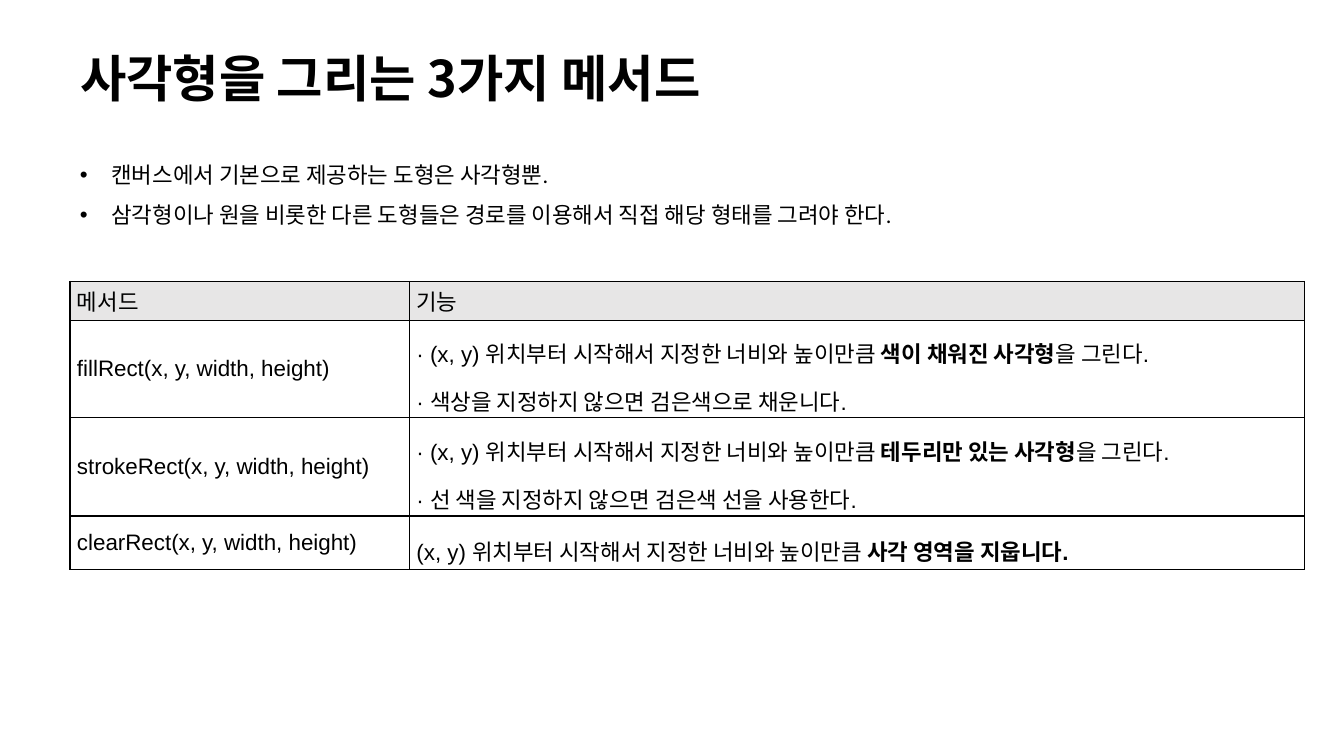
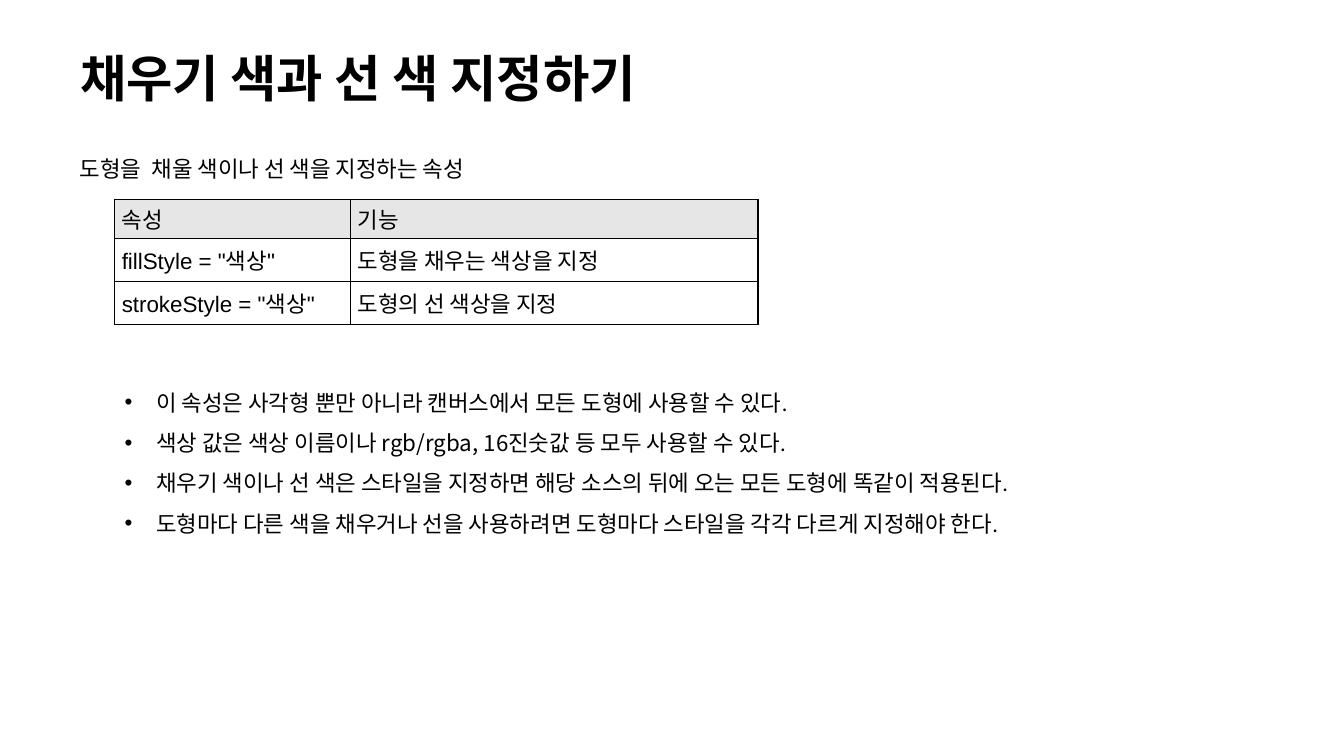
from pptx import Presentation
from pptx.dml.color import RGBColor as Rgb
from pptx.enum.text import MSO_ANCHOR as Anchor, MSO_AUTO_SIZE as Fit, PP_ALIGN as Align
from pptx.oxml import parse_xml
from pptx.oxml.ns import nsdecls
from pptx.util import Pt

HEX = {"text": "000000", "head": "E7E6E6", "line": "000000"}
KR = "Noto Sans CJK KR"
TITLE = {"name": KR, "size": Pt(36), "bold": True}
BODY = {"name": "Calibri", "size": Pt(16), "bold": False}
CELL = BODY | {"name": "Arial"}
BOLD = {"bold": True}
LEFT = 50
INDENT = 22.5


def node(tag, attrs="", inner=""):
    return parse_xml(f'<a:{tag} {nsdecls("a")} {attrs}>{inner}</a:{tag}>')


def set_all(item, values):
    for key, value in values.items():
        setattr(item, key, value)


def write(para, text, look, mark=BOLD):
    """Fill a paragraph; parts between asterisks also take the mark values."""
    for i, part in enumerate(text.split("*")):
        if not part:
            continue
        run = para.add_run()
        run.text = part
        set_all(run.font, look | (mark if i % 2 else {}))
        run.font.color.rgb = Rgb.from_string(HEX["text"])
        run._r.get_or_add_rPr().append(node("ea", f'typeface="{KR}"'))


def fill(frame, lines, look, space, mark=BOLD):
    """Write one paragraph per line and return the paragraphs."""
    for i, line in enumerate(lines):
        para = frame.add_paragraph() if i else frame.paragraphs[0]
        set_all(para, {"alignment": Align.LEFT, "line_spacing": space})
        write(para, line, look, mark)
    return frame.paragraphs


def add_page(deck, title):
    page = deck.slides.add_slide(deck.slide_layouts[5])
    head = page.shapes.title
    set_all(head, {"left": Pt(LEFT), "top": Pt(25), "width": Pt(701), "height": Pt(66)})
    set_all(head.text_frame, {"auto_size": Fit.NONE, "word_wrap": True,
                              "vertical_anchor": Anchor.MIDDLE})
    fill(head.text_frame, [title], TITLE, 0.9)
    return page


def add_text(page, box, lines, bullet=True, mark=BOLD):
    frame = page.shapes.add_textbox(*map(Pt, box)).text_frame
    frame.word_wrap = True
    for para in fill(frame, lines, BODY, Pt(28.8), mark):
        if bullet:
            props = para._p.get_or_add_pPr()
            props.set("marL", str(Pt(INDENT)))
            props.set("indent", str(-Pt(INDENT)))
            props.append(node("buFont", 'typeface="Arial"'))
            props.append(node("buChar", 'char="•"'))


def edge(cell):
    """Draw a thin line on all four sides of a cell."""
    ink = f'<a:solidFill><a:srgbClr val="{HEX["line"]}"/></a:solidFill>'
    props = cell._tc.get_or_add_tcPr()
    for i, side in enumerate("LRTB"):
        props.insert(i, node(f"ln{side}", f'w="{Pt(1)}"', ink))


def add_grid(page, spot, wides, highs, rows):
    """Build a table; a cell given as a list has widely spaced lines."""
    size = (sum(wides), sum(highs))
    grid = page.shapes.add_table(len(rows), len(wides), *map(Pt, spot + size)).table
    set_all(grid, {"first_row": False, "horz_banding": False})
    for col, wide in zip(grid.columns, wides):
        col.width = Pt(wide)
    for r, (row, high) in enumerate(zip(rows, highs)):
        grid.rows[r].height = Pt(high)
        for c, text in enumerate(row):
            cell = grid.cell(r, c)
            set_all(cell, {"margin_left": Pt(5), "margin_right": Pt(5), "margin_top": 0,
                           "margin_bottom": 0, "vertical_anchor": Anchor.MIDDLE})
            if r:
                cell.fill.background()
            else:
                cell.fill.solid()
                cell.fill.fore_color.rgb = Rgb.from_string(HEX["head"])
            edge(cell)
            tall = isinstance(text, list)
            fill(cell.text_frame, text if tall else [text], CELL, 1.5 if tall else 1.0)


def add_rects(deck):
    page = add_page(deck, "사각형을 그리는 3가지 메서드")
    start = "(x, y) 위치부터 시작해서 지정한 너비와 높이만큼 "
    add_grid(page, (LEFT, 201), (242.5, 639.5), (28, 60.5, 70.5, 38), [
        ("메서드", "기능"),
        ("fillRect(x, y, width, height)",
         [f"· {start}*색이 채워진 사각형*을 그린다.",
          "· 색상을 지정하지 않으면 검은색으로 채운니다."]),
        ("strokeRect(x, y, width, height)",
         [f"· {start}*테두리만 있는 사각형*을 그린다.",
          "· 선 색을 지정하지 않으면 검은색 선을 사용한다."]),
        ("clearRect(x, y, width, height)", [f"{start}*사각 영역을 지웁니다.*"]),
    ])
    add_text(page, (LEFT, 102, 769, 62), [
        "캔버스에서 기본으로 제공하는 도형은 사각형뿐.",
        "삼각형이나 원을 비롯한 다른 도형들은 경로를 이용해서 직접 해당 형태를 그려야 한다.",
    ])


def add_styles(deck):
    page = add_page(deck, "채우기 색과 선 색 지정하기")
    add_text(page, (LEFT, 98, 828, 150), ["도형을  채울 색이나 선 색을 지정하는 속성"], bullet=False)
    add_grid(page, (82, 142.5), (168.5, 291), (28, 30.5, 31), [
        ("속성", "기능"),
        ('fillStyle = "색상"', "도형을 채우는 색상을 지정"),
        ('strokeStyle = "색상"', "도형의 선 색상을 지정"),
    ])
    add_text(page, (82, 264.5, 699, 120), [
        "이 속성은 사각형 뿐만 아니라 캔버스에서 모든 도형에 사용할 수 있다.",
        "색상 값은 색상 이름이나 *rgb/rgba, 16*진숫값 등 모두 사용할 수 있다.",
        "채우기 색이나 선 색은 스타일을 지정하면 해당 소스의 뒤에 오는 모든 도형에 똑같이 적용된다.",
        "도형마다 다른 색을 채우거나 선을 사용하려면 도형마다 스타일을 각각 다르게 지정해야 한다.",
    ], mark={"name": KR})


def main():
    deck = Presentation()
    set_all(deck, {"slide_width": Pt(960), "slide_height": Pt(540)})
    add_rects(deck)
    add_styles(deck)
    deck.save("out.pptx")


if __name__ == "__main__":
    main()
